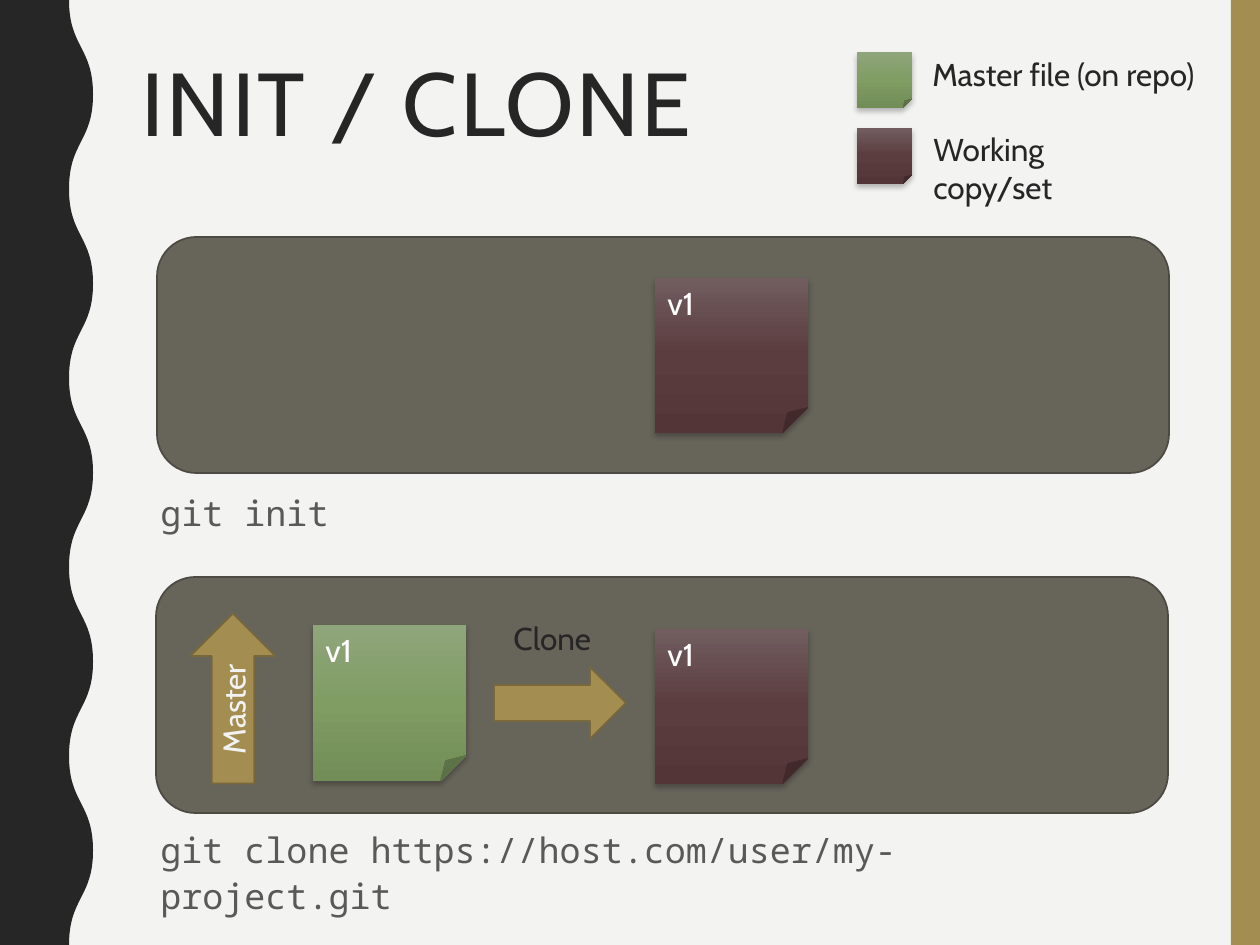
from dataclasses import dataclass
from typing import Optional

from lxml import etree
from pptx import Presentation
from pptx.dml.color import RGBColor
from pptx.enum.shapes import MSO_SHAPE as Preset
from pptx.enum.text import MSO_ANCHOR as Anchor, MSO_AUTO_SIZE as AutoSize, PP_ALIGN as Align
from pptx.oxml import parse_xml
from pptx.oxml.ns import nsdecls, qn
from pptx.util import Emu, Pt

PIXEL = 914400 / 126
WIDTH, HEIGHT = 1260, 945


@dataclass(frozen=True)
class Theme:
    background: str = "F3F3F2"
    dark: str = "262626"
    gold: str = "A38D51"
    gold_line: str = "79683C"
    panel: str = "67645A"
    panel_line: str = "4C4A43"
    command: str = "595959"
    light: str = "F2F2F2"
    white: str = "FFFFFF"
    master: tuple = ("8FA57B", "809D64", "728D57")
    working: tuple = ("715D5F", "5B3C3F", "533437")
    font: str = "Cabin"
    mono: str = "Noto Sans Mono"
    title_size: int = 51
    label_size: int = 18
    command_size: int = 20


THEME = Theme()


def pixels(count: float) -> Emu:
    return Emu(round(count * PIXEL))


@dataclass(frozen=True)
class Box:
    left: int
    top: int
    width: int
    height: int

    def emu(self) -> tuple:
        return tuple(pixels(n) for n in (self.left, self.top, self.width, self.height))


@dataclass(frozen=True)
class Note:
    box: Box
    stops: tuple
    text: str = ""


@dataclass(frozen=True)
class Block:
    preset: Preset
    box: Box
    fill: str
    line: Optional[str] = None
    text: str = ""
    rotation: int = 0


@dataclass(frozen=True)
class Label:
    box: Box
    text: str
    right_inset: int = 0


def write(shape, text: str, size: int, color: str, font: str = THEME.font,
          frame_format: Optional[dict] = None, paragraph_format: Optional[dict] = None):
    frame = shape.text_frame
    frame.text = text
    paragraph = frame.paragraphs[0]
    frame_values = {"word_wrap": True, "auto_size": AutoSize.NONE,
                    "vertical_anchor": Anchor.TOP, **(frame_format or {})}
    paragraph_values = {"alignment": Align.LEFT, **(paragraph_format or {})}
    run = paragraph.runs[0]
    for target, values in ((frame, frame_values), (paragraph, paragraph_values),
                           (run.font, {"size": Pt(size), "name": font})):
        for name, value in values.items():
            setattr(target, name, value)
    run.font.color.rgb = RGBColor.from_string(color)
    return paragraph


def paint(shape, fill: str, line: Optional[str] = None) -> None:
    shape.shadow.inherit = False
    shape.fill.solid()
    shape.fill.fore_color.rgb = RGBColor.from_string(fill)
    if line:
        shape.line.color.rgb = RGBColor.from_string(line)
        shape.line.width = Pt(1)
    else:
        shape.line.fill.background()


def add_block(slide, block: Block) -> None:
    shape = slide.shapes.add_shape(block.preset, *block.box.emu())
    paint(shape, block.fill, block.line)
    shape.rotation = block.rotation
    if block.text:
        write(shape, block.text, THEME.label_size, THEME.light,
              frame_format={"vertical_anchor": Anchor.MIDDLE},
              paragraph_format={"alignment": Align.CENTER})


def add_note(slide, note: Note) -> None:
    shape = slide.shapes.add_shape(Preset.FOLDED_CORNER, *note.box.emu())
    paint(shape, note.stops[1])
    properties = shape.fill._xPr
    stops = "".join(f'<a:gs pos="{i * 50000}"><a:srgbClr val="{color}"/></a:gs>'
                    for i, color in enumerate(note.stops))
    gradient = parse_xml(f'<a:gradFill {nsdecls("a")}><a:gsLst>{stops}</a:gsLst>'
                         '<a:lin ang="5400000" scaled="0"/></a:gradFill>')
    properties.replace(properties.find(qn("a:solidFill")), gradient)
    shadow = etree.SubElement(properties.find(qn("a:effectLst")), qn("a:outerShdw"),
                              blurRad=str(Pt(3)), dist=str(Pt(2)), dir="5400000", rotWithShape="0")
    color = etree.SubElement(shadow, qn("a:srgbClr"), val="000000")
    etree.SubElement(color, qn("a:alpha"), val="25000")
    if note.text:
        write(shape, note.text, THEME.label_size, THEME.white)


def add_label(slide, label: Label) -> None:
    shape = slide.shapes.add_textbox(*label.box.emu())
    write(shape, label.text, THEME.label_size, THEME.dark,
          frame_format={"margin_right": pixels(label.right_inset)})


def add_command(slide, label: Label) -> None:
    shape = slide.shapes.add_textbox(*label.box.emu())
    paragraph = write(shape, label.text, THEME.command_size, THEME.command, THEME.mono,
                      paragraph_format={"line_spacing": 1.1, "space_before": Pt(7), "level": 1})
    properties = paragraph._p.get_or_add_pPr()
    properties.set("marL", str(pixels(63)))
    properties.set("indent", "0")


def add_wave(slide, inner: int = 690, outer: int = 930, bends: int = 10) -> None:
    """Draw the wavy side band in tenths of a pixel."""
    step = HEIGHT * 10 // bends
    ends = [(outer if bend % 2 else inner, bend * step) for bend in range(bends + 1)]
    builder = slide.shapes.build_freeform(0, 0, scale=PIXEL / 10)
    builder.add_line_segments([*ends, (0, HEIGHT * 10)], close=True)
    shape = builder.convert_to_shape()
    paint(shape, THEME.dark)
    # Turn each bend into one smooth curve
    lines = list(shape._element.iter(qn("a:lnTo")))[1:bends + 1]
    for line, (x1, y1), (x2, y2) in zip(lines, ends, ends[1:]):
        middle = (y1 + y2) // 2
        curve = etree.Element(qn("a:cubicBezTo"))
        for x, y in ((x1, middle), (x2, middle), (x2, y2)):
            etree.SubElement(curve, qn("a:pt"), x=str(x), y=str(y))
        line.getparent().replace(line, curve)


presentation = Presentation()
presentation.slide_width, presentation.slide_height = pixels(WIDTH), pixels(HEIGHT)
slide = presentation.slides.add_slide(presentation.slide_layouts[5])
slide.background.fill.solid()
slide.background.fill.fore_color.rgb = RGBColor.from_string(THEME.background)

# Title
title = slide.shapes.title
title.left, title.top, title.width, title.height = Box(129, 53, 1052, 205).emu()
heading = write(title, "INIT / CLONE", THEME.title_size, THEME.dark,
                paragraph_format={"line_spacing": 0.9})
heading.runs[0].font._element.set("spc", "150")

# Side decoration, panels and arrows
add_wave(slide)
for block in (
    Block(Preset.RECTANGLE, Box(1231, 0, 29, HEIGHT), THEME.gold),
    Block(Preset.ROUNDED_RECTANGLE, Box(156, 577, 1012, 236), THEME.panel, THEME.panel_line),
    Block(Preset.ROUNDED_RECTANGLE, Box(157, 237, 1012, 236), THEME.panel, THEME.panel_line),
    Block(Preset.RIGHT_ARROW, Box(148, 656, 170, 85), THEME.gold, THEME.gold_line, "Master", 270),
    Block(Preset.RIGHT_ARROW, Box(494, 667, 132, 72), THEME.gold, THEME.gold_line),
):
    add_block(slide, block)

# File notes and legend swatches
for note in (
    Note(Box(313, 625, 153, 156), THEME.master, "v1"),
    Note(Box(655, 629, 153, 155), THEME.working, "v1"),
    Note(Box(655, 278, 153, 155), THEME.working, "v1"),
    Note(Box(857, 52, 55, 56), THEME.master),
    Note(Box(857, 128, 55, 56), THEME.working),
):
    add_note(slide, note)

# Labels
for label in (
    Label(Box(501, 613, 103, 50), "Clone"),
    Label(Box(920, 49, 302, 50), "Master file (on repo)"),
    Label(Box(921, 124, 260, 50), "Working copy/set", 90),
):
    add_label(slide, label)

# Commands
for label in (
    Label(Box(85, 818, 1024, 72), "git clone https://host.com/user/my-project.git"),
    Label(Box(85, 481, 296, 72), "git init"),
):
    add_command(slide, label)

presentation.save("out.pptx")
